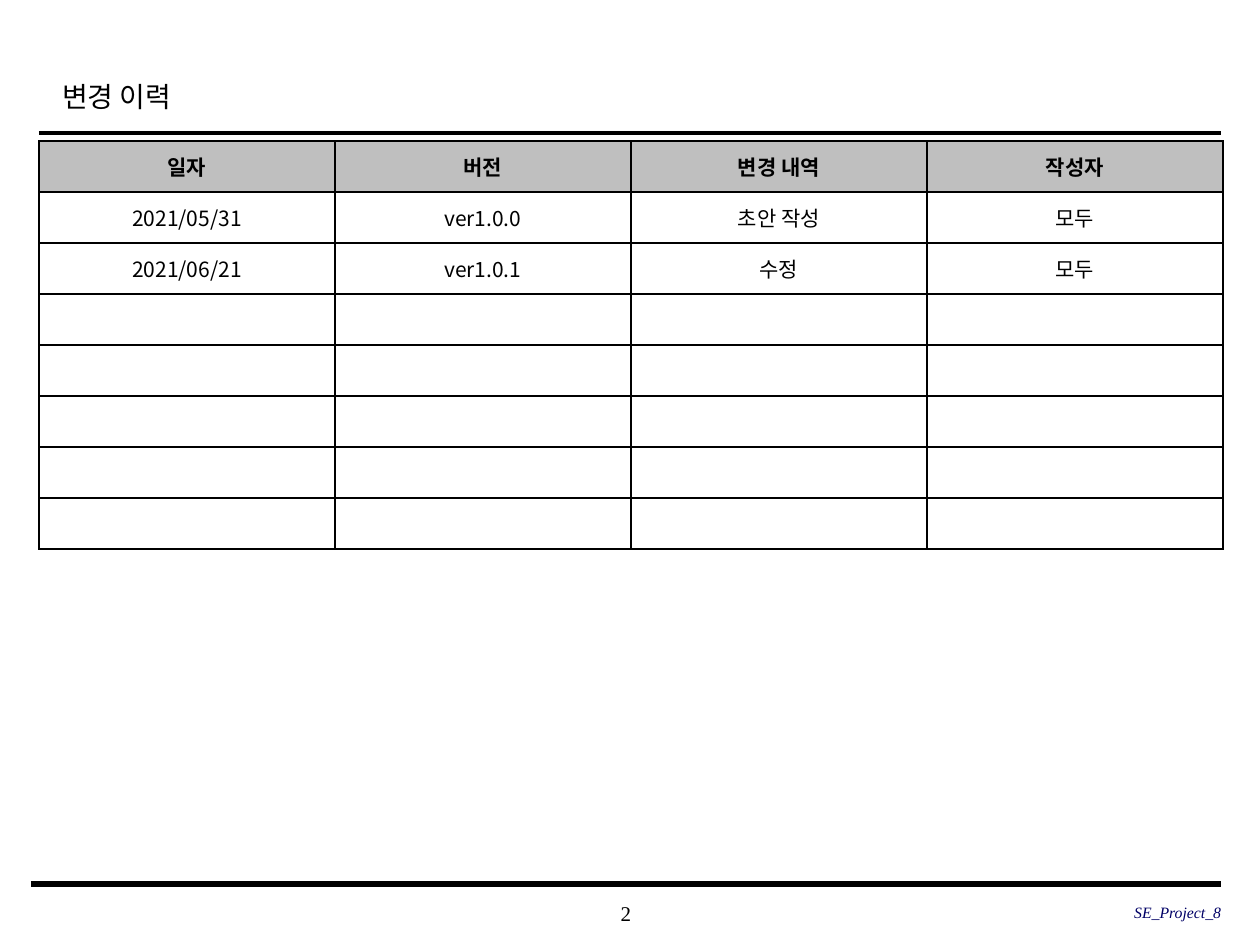
import pptx
import pptx.dml.color
import pptx.enum.shapes
import pptx.enum.text
import pptx.oxml
import pptx.oxml.ns
import pptx.util
from lxml import etree

PX = 914400 / 126
BLACK = pptx.dml.color.RGBColor(0x00, 0x00, 0x00)
WHITE = pptx.dml.color.RGBColor(0xFF, 0xFF, 0xFF)
GRAY = pptx.dml.color.RGBColor(0xBF, 0xBF, 0xBF)
NAVY = pptx.dml.color.RGBColor(0x00, 0x00, 0x66)
SERIF = "Times New Roman"
KOREAN = "Noto Sans CJK KR"
ALIGN = pptx.enum.text.PP_ALIGN
MIDDLE = pptx.enum.text.MSO_ANCHOR.MIDDLE
qn = pptx.oxml.ns.qn


def px(*lengths):
    return [pptx.util.Emu(round(length * PX)) for length in lengths]


def write(paragraph, text, align, color, font_format):
    paragraph.alignment = align
    run = paragraph.add_run()
    run.text = text
    for key, value in font_format.items():
        setattr(run.font, key, value)
    run.font.color.rgb = color
    etree.SubElement(run._r.get_or_add_rPr(), qn("a:ea"), typeface=KOREAN)


deck = pptx.Presentation()
deck.slide_width, deck.slide_height = px(1260, 945)
slide = deck.slides.add_slide(deck.slide_layouts[6])

# Rules under the title and above the footer
for left, y, weight in [(39, 133, 2.5), (31, 884, 3)]:
    rule = slide.shapes.add_connector(
        pptx.enum.shapes.MSO_CONNECTOR.STRAIGHT, *px(left, y, 1221, y))
    rule.line.color.rgb = BLACK
    rule.line.width = pptx.util.Pt(weight)
    etree.SubElement(rule._element.spPr, qn("a:effectLst"))

# Title, page number and project name
labels = [
    ("변경 이력", (49, 62, 951, 63), (13, 6), ALIGN.LEFT, 1.2, BLACK,
     {"size": pptx.util.Pt(16), "name": SERIF}),
    ("2", (495, 892, 262, 42), (0, 0), ALIGN.CENTER, 1, BLACK,
     {"size": pptx.util.Pt(12), "name": SERIF}),
    ("SE_Project_8", (835, 891, 386, 42), (0, 0), ALIGN.RIGHT, 1, NAVY,
     {"size": pptx.util.Pt(9), "name": SERIF, "italic": True}),
]
for text, place, (inset_x, inset_y), align, spacing, color, font_format in labels:
    frame = slide.shapes.add_textbox(*px(*place)).text_frame
    frame.word_wrap = True
    frame.vertical_anchor = MIDDLE
    frame.margin_left, frame.margin_right = px(inset_x, inset_x)
    frame.margin_top, frame.margin_bottom = px(inset_y, inset_y)
    frame.paragraphs[0].line_spacing = spacing
    write(frame.paragraphs[0], text, align, color, font_format)

# Change history table, with empty rows left for later entries
history = [
    ("일자", "버전", "변경 내역", "작성자"),
    ("2021/05/31", "ver1.0.0", "초안 작성", "모두"),
    ("2021/06/21", "ver1.0.1", "수정", "모두"),
] + [("",) * 4] * 5
table = slide.shapes.add_table(
    len(history), 4, *px(39, 141, 1184, 51 * len(history))).table
for column in table.columns:
    column.width = px(296)[0]
for row in table.rows:
    row.height = px(51)[0]

for row_index, entries in enumerate(history):
    is_header = row_index == 0
    for column_index, entry in enumerate(entries):
        cell = table.cell(row_index, column_index)
        cell.vertical_anchor = MIDDLE
        for side in ("lnL", "lnR", "lnT", "lnB"):
            cell._tc.get_or_add_tcPr().append(pptx.oxml.parse_xml(
                f'<a:{side} {pptx.oxml.ns.nsdecls("a")} w="12700"><a:solidFill>'
                f'<a:srgbClr val="{BLACK}"/></a:solidFill></a:{side}>'))
        cell.fill.solid()
        cell.fill.fore_color.rgb = GRAY if is_header else WHITE
        paragraph = cell.text_frame.paragraphs[0]
        if entry:
            write(paragraph, entry, ALIGN.CENTER, BLACK,
                  {"size": pptx.util.Pt(12), "name": KOREAN, "bold": is_header})
        else:
            # A small end mark keeps the empty row from growing
            etree.SubElement(paragraph._p, qn("a:endParaRPr"), sz="1200")

deck.save("out.pptx")
